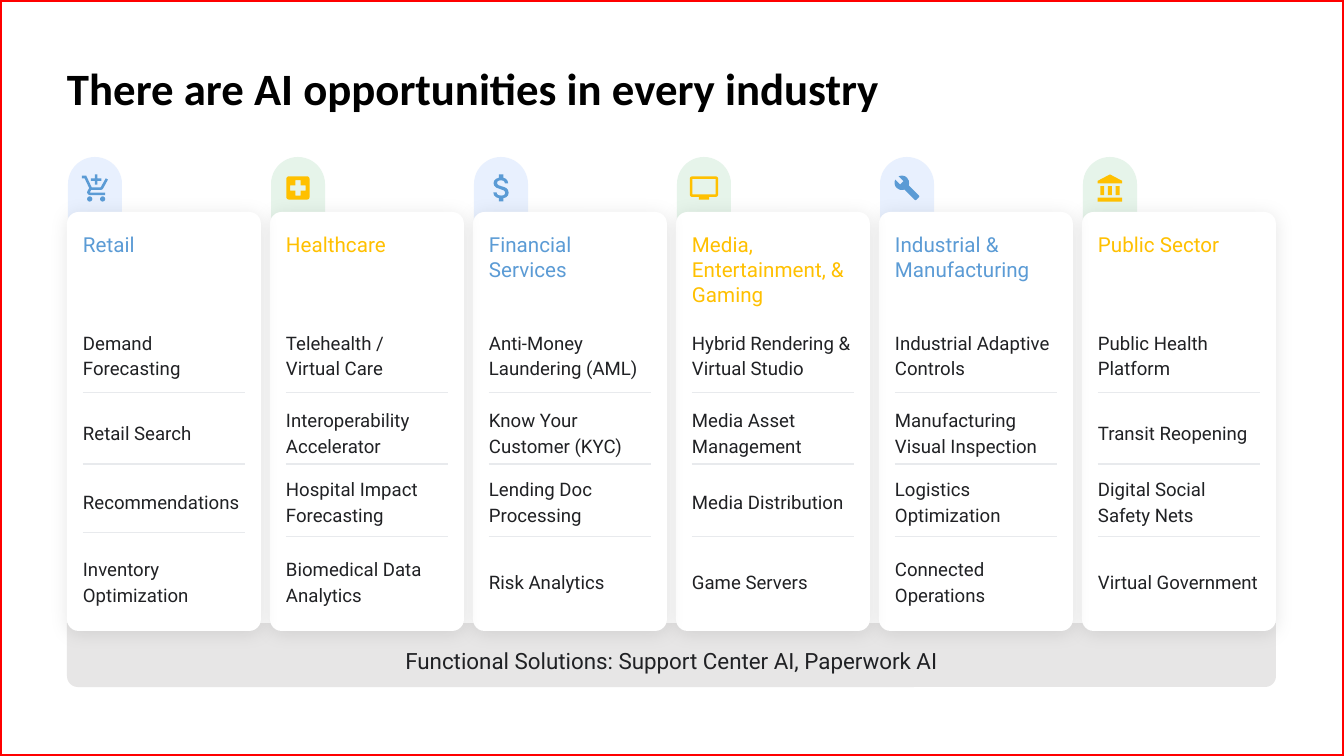
import math

import lxml.etree
import pptx
import pptx.dml.color
import pptx.enum.shapes
import pptx.enum.text
import pptx.oxml.ns
import pptx.util

RGB = pptx.dml.color.RGBColor
KIND = pptx.enum.shapes.MSO_SHAPE
ALIGN = pptx.enum.text.PP_ALIGN
ANCHOR = pptx.enum.text.MSO_ANCHOR

RED = RGB(0xFF, 0x00, 0x00)
BLACK = RGB(0x00, 0x00, 0x00)
WHITE = RGB(0xFF, 0xFF, 0xFF)
INK = RGB(0x20, 0x21, 0x24)
GRAY = RGB(0xE7, 0xE6, 0xE6)
RULE = RGB(0xE8, 0xEA, 0xED)
BLUE = RGB(0x5B, 0x9B, 0xD5)
GOLD = RGB(0xFF, 0xC0, 0x00)
SKY = RGB(0xE8, 0xF0, 0xFE)
MINT = RGB(0xE6, 0xF4, 0xEA)
THEMES = [(BLUE, SKY), (GOLD, MINT)]

PITCH = 203
ROWS = [(119, 46), (206, 27), (275, 27), (341, 55)]


def px(n):
    """Turn slide pixels into EMU."""
    return pptx.util.Emu(round(n * 12192000 / 1344))


def box(l, t, r, b, rad=0):
    """Outline a rectangle, with round corners if rad is given."""
    if not rad:
        return [(l, t), (r, t), (r, b), (l, b)]
    mids = [(r - rad, b - rad), (l + rad, b - rad),
            (l + rad, t + rad), (r - rad, t + rad)]
    return [(x + rad * math.cos(math.radians(90 * k + a)),
             y + rad * math.sin(math.radians(90 * k + a)))
            for k, (x, y) in enumerate(mids) for a in range(0, 91, 15)]


CART = [
    [(110, 90), (130, 90), (130, 60), (160, 60), (160, 40), (130, 40),
     (130, 10), (110, 10), (110, 40), (80, 40), (80, 60), (110, 60)],
    box(50, 180, 90, 220, 20), box(150, 180, 190, 220, 20),
    [(72, 148), (81, 130), (155, 130), (166, 127), (173, 120), (211, 50),
     (194, 40), (155, 110), (85, 110), (43, 20), (10, 20), (10, 40),
     (30, 40), (66, 116), (52, 140), (50, 150), (56, 164), (70, 170),
     (190, 170), (190, 150), (74, 150)],
]
CROSS = [
    box(30, 30, 210, 210, 20),
    [(180, 140), (140, 140), (140, 180), (100, 180), (100, 140), (60, 140),
     (60, 100), (100, 100), (100, 60), (140, 60), (140, 100), (180, 100)],
]
MONEY = [[
    (118, 109), (99, 102), (90, 95), (88, 87), (91, 77), (100, 71), (115, 69),
    (130, 72), (138, 80), (140, 90), (162, 90), (158, 73), (147, 59),
    (130, 52), (130, 30), (100, 30), (100, 52), (82, 59), (69, 71), (65, 88),
    (69, 104), (81, 117), (112, 129), (132, 136), (140, 144), (142, 153),
    (139, 163), (130, 169), (115, 171), (97, 168), (88, 161), (85, 150),
    (63, 150), (68, 169), (81, 182), (100, 188), (100, 210), (130, 210),
    (130, 188), (149, 182), (161, 170), (165, 153), (161, 134), (150, 121),
    (135, 114),
]]
SCREEN = [
    box(10, 30, 230, 190, 20), box(30, 50, 210, 170), box(80, 190, 160, 210),
]
WRENCH = [[
    (227, 190), (136, 99), (139, 80), (137, 58), (121, 30), (103, 17),
    (85, 12), (65, 12), (47, 17), (90, 60), (60, 90), (16, 47), (10, 65),
    (10, 85), (16, 104), (29, 121), (56, 137), (80, 139), (98, 136),
    (189, 227), (196, 230), (203, 227), (226, 204), (230, 197),
]]
BANK = [
    [(115, 10), (20, 60), (20, 80), (210, 80), (210, 60)],
    *[box(x, 100, x + 30, 170) for x in (40, 100, 160)],
    box(20, 190, 210, 220),
]

FIELDS = [
    ("Retail", CART, 31,
     ["Demand Forecasting", "Retail Search", "Recommendations",
      "Inventory Optimization"]),
    ("Healthcare", CROSS, 31,
     ["Telehealth /\nVirtual Care", "Interoperability Accelerator",
      "Hospital Impact Forecasting", "Biomedical Data Analytics"]),
    ("Financial Services", MONEY, 36,
     ["Anti-Money Laundering (AML)", "Know Your Customer (KYC)",
      "Lending Doc Processing", "Risk Analytics"]),
    ("Media, Entertainment, & Gaming", SCREEN, 31,
     ["Hybrid Rendering & Virtual Studio", "Media Asset Management",
      "Media Distribution", "Game Servers"]),
    ("Industrial & Manufacturing", WRENCH, 27,
     ["Industrial Adaptive Controls", "Manufacturing Visual Inspection",
      "Logistics Optimization", "Connected Operations"]),
    ("Public Sector", BANK, 31,
     ["Public Health Platform", "Transit Reopening",
      "Digital Social Safety Nets", "Virtual Government"]),
]


def write(slide, words, area, holder=None, size=13.3, color=INK, font="Roboto",
          bold=False, anchor=ANCHOR.MIDDLE, align=ALIGN.LEFT, space=1.0, pad=0):
    """Put formatted words in a box or a given placeholder."""
    spot = [px(n) for n in area]
    if holder is None:
        holder = slide.shapes.add_textbox(*spot)
    holder.left, holder.top, holder.width, holder.height = spot
    frame = holder.text_frame
    frame.text = words
    frame.word_wrap = True
    frame.auto_size = pptx.enum.text.MSO_AUTO_SIZE.NONE
    frame.vertical_anchor = anchor
    frame.margin_left = frame.margin_top = frame.margin_bottom = 0
    frame.margin_right = px(pad)
    for para in frame.paragraphs:
        para.alignment = align
        para.line_spacing = space
        para.font.name = font
        para.font.size = pptx.util.Pt(size)
        para.font.bold = bold
        para.font.color.rgb = color


def paint(shape, color):
    """Fill a shape flat, with no line or shadow."""
    shape.shadow.inherit = False
    shape.fill.solid()
    shape.fill.fore_color.rgb = color
    shape.line.fill.background()


def block(slide, kind, area, color, *bends):
    """Add a filled preset shape with its corner values."""
    shape = slide.shapes.add_shape(kind, *[px(n) for n in area])
    for k, bend in enumerate(bends):
        shape.adjustments[k] = bend
    paint(shape, color)
    return shape


def shade(shape):
    """Give a card its soft shadow."""
    tag = pptx.oxml.ns.qn
    sub = lxml.etree.SubElement
    glow = shape._element.spPr.find(tag("a:effectLst"))
    cast = sub(glow, tag("a:outerShdw"), blurRad="171450", dist="19050",
               dir="5400000", algn="t", rotWithShape="0")
    tint = sub(cast, tag("a:srgbClr"), val="000000")
    sub(tint, tag("a:alpha"), val="10000")


def icon(slide, loops, mid, size, color):
    """Draw the loops of an icon around a middle point."""
    pen = slide.shapes.build_freeform(*loops[0][0], scale=px(size) / 240)
    for k, loop in enumerate(loops):
        if k:
            pen.move_to(*loop[0])
        pen.add_line_segments(loop[1:], close=True)
    shape = pen.convert_to_shape()
    shape.left = px(mid[0]) - shape.width // 2
    shape.top = px(mid[1]) - shape.height // 2
    paint(shape, color)


def rule(slide, x, y, width):
    """Draw a thin line between two items."""
    line = slide.shapes.add_connector(
        pptx.enum.shapes.MSO_CONNECTOR.STRAIGHT,
        px(x), px(y), px(x + width), px(y))
    line.line.color.rgb = RULE
    line.line.width = pptx.util.Pt(0.75)
    lxml.etree.SubElement(line._element.spPr, pptx.oxml.ns.qn("a:effectLst"))


def column(slide, area, field, theme, cuts):
    """Build one industry: tab, icon, card, heading and items."""
    x, y, width, height = area
    name, loops, size, items = field
    color, tint = theme
    block(slide, KIND.ROUND_2_SAME_RECTANGLE, (x + 1, y - 55, 54, 114), tint, 0.5, 0)
    icon(slide, loops, (x + 28, y - 24), size, color)
    shade(block(slide, KIND.ROUNDED_RECTANGLE, area, WHITE, 0.06))
    left, wide = x + 16, width - 32
    write(slide, name, (left, y + 20, wide, 70), size=14.7, color=color,
          anchor=ANCHOR.TOP)
    for words, (top, tall) in zip(items, ROWS):
        write(slide, words, (left, y + top, wide, tall), space=1.15)
    for cut in cuts:
        rule(slide, left, y + cut, wide)


def footer(slide, area):
    """Build the bar below the cards."""
    x, y, width, height = area
    block(slide, KIND.ROUND_2_SAME_RECTANGLE, area, GRAY, 0, 0.17)
    write(slide, "Functional Solutions: Support Center AI, Paperwork AI",
          (x + 250, y + 15, width - 500, 46), size=16, align=ALIGN.CENTER)


def main():
    """Build and save the slide."""
    deck = pptx.Presentation()
    deck.slide_width, deck.slide_height = px(1344), px(756)
    slide = deck.slides.add_slide(deck.slide_layouts[5])
    edge = block(slide, KIND.RECTANGLE, (0, 0, 1344, 756), WHITE)
    edge.fill.background()
    edge.line.color.rgb = RED
    edge.line.width = pptx.util.Pt(3)
    write(slide, "There are AI opportunities in every industry", (67, 67, 854, 54),
          holder=slide.shapes.title, size=32, color=BLACK, font="Calibri",
          bold=True, anchor=ANCHOR.TOP, space=0.9, pad=13)
    footer(slide, (67, 623, 1209, 64))
    for k in reversed(range(len(FIELDS))):
        cuts = (181, 252, 325 if k else 321)
        column(slide, (67 + k * PITCH, 212, 194, 419), FIELDS[k], THEMES[k % 2], cuts)
    deck.save("out.pptx")


if __name__ == "__main__":
    main()
